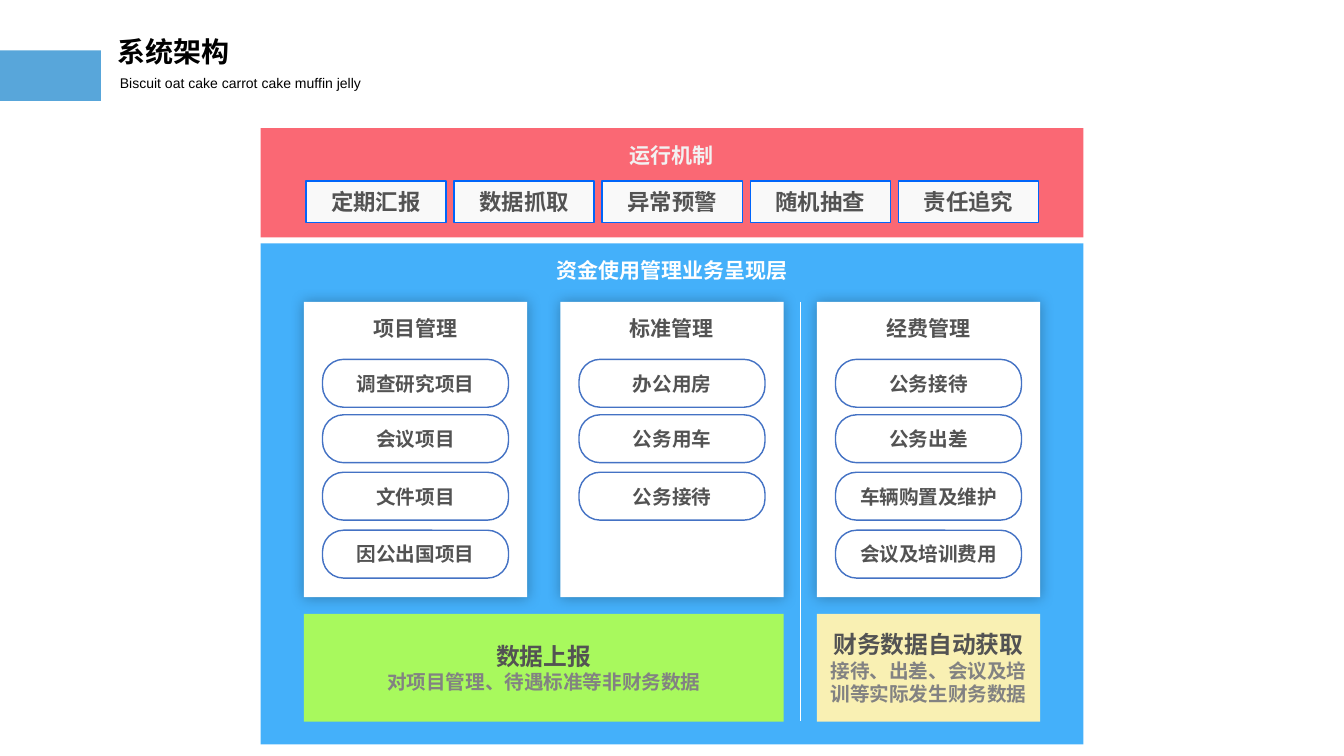
import math

import pptx
import pptx.dml.color
import pptx.enum.shapes
import pptx.enum.text
import pptx.oxml
import pptx.oxml.ns
import pptx.util

SLIDE_W, SLIDE_H = 26.67, 15
CJK = "Noto Sans CJK SC"
COLORS = {
    "black": "000000", "white": "FFFFFF", "cloud": "58A6DA",
    "mechanism": "FA6874", "mechanism_title": "F2F2F2",
    "button": "F9F9F9", "button_edge": "0065FA", "pill_edge": "4472C4",
    "business": "44B0FA", "report": "A8F95D", "finance": "F9F0B3",
    "ink": "535353", "muted": "828282",
}
RECT = pptx.enum.shapes.MSO_SHAPE.RECTANGLE
ROUNDED = pptx.enum.shapes.MSO_SHAPE.ROUNDED_RECTANGLE
TOP = pptx.enum.text.MSO_ANCHOR.TOP
MIDDLE = pptx.enum.text.MSO_ANCHOR.MIDDLE

BAND_LEFT, BAND_W = 5.17, 16.33
GRID_LEFT, COLUMN_STEP, COLUMN_W = 6.03, 5.09, 4.43
BUTTON_LEFT, BUTTON_STEP = 6.07, 2.94
PILL_TOPS = (7.13, 8.23, 9.37, 10.52)

MECHANISMS = ("定期汇报", "数据抓取", "异常预警", "随机抽查", "责任追究")
MODULES = {
    "项目管理": ("调查研究项目", "会议项目", "文件项目", "因公出国项目"),
    "标准管理": ("办公用房", "公务用车", "公务接待"),
    "经费管理": ("公务接待", "公务出差", "车辆购置及维护", "会议及培训费用"),
}


def rgb(name):
    """Return the named colour."""
    return pptx.dml.color.RGBColor.from_string(COLORS[name])


def inches(*lengths):
    """Convert lengths to slide units."""
    return [pptx.util.Inches(length) for length in lengths]


def column_left(index):
    """Return the left edge of a module column."""
    return GRID_LEFT + index * COLUMN_STEP


def effects(element, shadow=False):
    """Replace the theme effects with none or a soft glow-like shadow."""
    inner = ('<a:outerShdw blurRad="254000" dist="0" dir="2700000" algn="tl" rotWithShape="0">'
             f'<a:srgbClr val="{COLORS["black"]}"><a:alpha val="28000"/></a:srgbClr>'
             '</a:outerShdw>') if shadow else ""
    namespace = pptx.oxml.ns.nsdecls("a")
    element.spPr.append(pptx.oxml.parse_xml(
        f"<a:effectLst {namespace}>{inner}</a:effectLst>"))


def write(frame, lines, inset=0.1, anchor=TOP, centered=True):
    """Fill a text frame with (text, size, colour, font, bold) lines."""
    frame.word_wrap = True
    frame.vertical_anchor = anchor
    frame.margin_left = frame.margin_right = pptx.util.Inches(inset)
    frame.margin_top = frame.margin_bottom = pptx.util.Inches(inset)
    align = pptx.enum.text.PP_ALIGN
    for index, (text, size, color, font, bold) in enumerate(lines):
        paragraph = frame.add_paragraph() if index else frame.paragraphs[0]
        paragraph.alignment = align.CENTER if centered else align.LEFT
        run = paragraph.add_run()
        run.text = text
        run.font.size = pptx.util.Pt(size)
        run.font.bold = bold
        run.font.color.rgb = rgb(color)
        run.font.name = font
        east_asian = pptx.oxml.parse_xml(
            f'<a:ea {pptx.oxml.ns.nsdecls("a")} typeface="{CJK}"/>')
        run.font._element.append(east_asian)


def add_label(shapes, left, top, text, size, font="Arial", bold=False):
    """Add a left-aligned heading line."""
    width, height = (7.52, 0.98) if bold else (5.86, 0.51)
    label = shapes.add_textbox(*inches(left, top, width, height))
    write(label.text_frame, [(text, size, "black", font, bold)], centered=False)
    label.text_frame.auto_size = pptx.enum.text.MSO_AUTO_SIZE.SHAPE_TO_FIT_TEXT


def add_box(shapes, box, fill, lines, edge=None, kind=RECT, inset=0.1,
            anchor=MIDDLE, shadow=False):
    """Add a filled box with centred text."""
    panel = shapes.add_shape(kind, *inches(*box))
    panel.fill.solid()
    panel.fill.fore_color.rgb = rgb(fill)
    if edge:
        panel.line.color.rgb = rgb(edge)
        panel.line.width = pptx.util.Pt(2)
    else:
        panel.line.fill.background()
    if kind == ROUNDED:
        panel.adjustments[0] = 0.44
    effects(panel._element, shadow)
    write(panel.text_frame, lines, inset, anchor)


def add_titled_panel(shapes, box, fill, title, color="ink", shadow=False):
    """Add a panel with its title at the top."""
    add_box(shapes, box, fill, [(title, 30, color, "Calibri", True)],
            inset=0.28, anchor=TOP, shadow=shadow)


def add_summary(shapes, box, fill, heading, detail):
    """Add a heading and detail at the foot of the business layer."""
    add_box(shapes, box, fill, [(heading, 34, "ink", "Calibri", True),
                                (detail, 28, "muted", "Calibri", True)])


def add_module(shapes, index, title, items):
    """Add a grouped module card with its pills."""
    module = shapes.add_group_shape().shapes
    left = column_left(index)
    add_titled_panel(module, (left, 5.99, COLUMN_W, 5.86), "white", title, shadow=True)
    for top, item in zip(PILL_TOPS, items):
        add_box(module, (left + 0.37, top, COLUMN_W - 0.74, 0.95), "white",
                [(item, 28, "ink", CJK, True)], edge="pill_edge", kind=ROUNDED)


def add_cloud(shapes):
    """Draw a cloud from four circular lobes."""
    lobes = ((0.73, 1.39, 0.28, 90, 270), (1.1, 1.05, 0.36, 170, 347),
             (1.67, 1.28, 0.37, 239, 355), (2.03, 1.46, 0.21, 270, 450))
    outline = []
    for x, y, radius, start, end in lobes:
        for step in range(41):
            angle = math.radians(start + (end - start) * step / 40)
            outline.append((x + radius * math.cos(angle), y + radius * math.sin(angle)))
    builder = shapes.build_freeform(*outline[0], scale=pptx.util.Inches(1))
    builder.add_line_segments(outline[1:], close=True)
    cloud = builder.convert_to_shape()
    cloud.fill.solid()
    cloud.fill.fore_color.rgb = rgb("cloud")
    cloud.line.fill.background()
    cloud.shadow.inherit = False


def add_divider(shapes, x, bottom, top):
    """Add the vertical rule between report and finance columns."""
    divider = shapes.add_connector(
        pptx.enum.shapes.MSO_CONNECTOR.STRAIGHT, *inches(x, bottom, x, top))
    divider.line.color.rgb = rgb("white")
    divider.line.width = pptx.util.Pt(2)
    effects(divider._element)


def main():
    """Build the system architecture slide."""
    deck = pptx.Presentation()
    deck.slide_width, deck.slide_height = inches(SLIDE_W, SLIDE_H)
    shapes = deck.slides.add_slide(deck.slide_layouts[6]).shapes

    add_label(shapes, 2.24, 0.59, "系统架构", 40, CJK, bold=True)
    add_label(shapes, 2.28, 1.38, "Biscuit oat cake carrot cake muffin jelly", 20)
    add_cloud(shapes)

    add_titled_panel(shapes, (BAND_LEFT, 2.54, BAND_W, 2.17), "mechanism",
                     "运行机制", "mechanism_title")
    for index, mechanism in enumerate(MECHANISMS):
        add_box(shapes, (BUTTON_LEFT + index * BUTTON_STEP, 3.59, 2.78, 0.83), "button",
                [(mechanism, 32, "ink", "Calibri", True)], edge="button_edge")

    add_titled_panel(shapes, (BAND_LEFT, 4.83, BAND_W, 9.94), "business",
                     "资金使用管理业务呈现层", "white")
    add_summary(shapes, (GRID_LEFT, 12.18, COLUMN_STEP + COLUMN_W, 2.14), "report",
                "数据上报", "对项目管理、待遇标准等非财务数据")
    add_summary(shapes, (column_left(2), 12.18, COLUMN_W, 2.14), "finance",
                "财务数据自动获取", "接待、出差、会议及培训等实际发生财务数据")
    for index, (title, items) in enumerate(MODULES.items()):
        add_module(shapes, index, title, items)
    add_divider(shapes, 15.89, 14.3, 6)

    deck.save("out.pptx")


if __name__ == "__main__":
    main()
